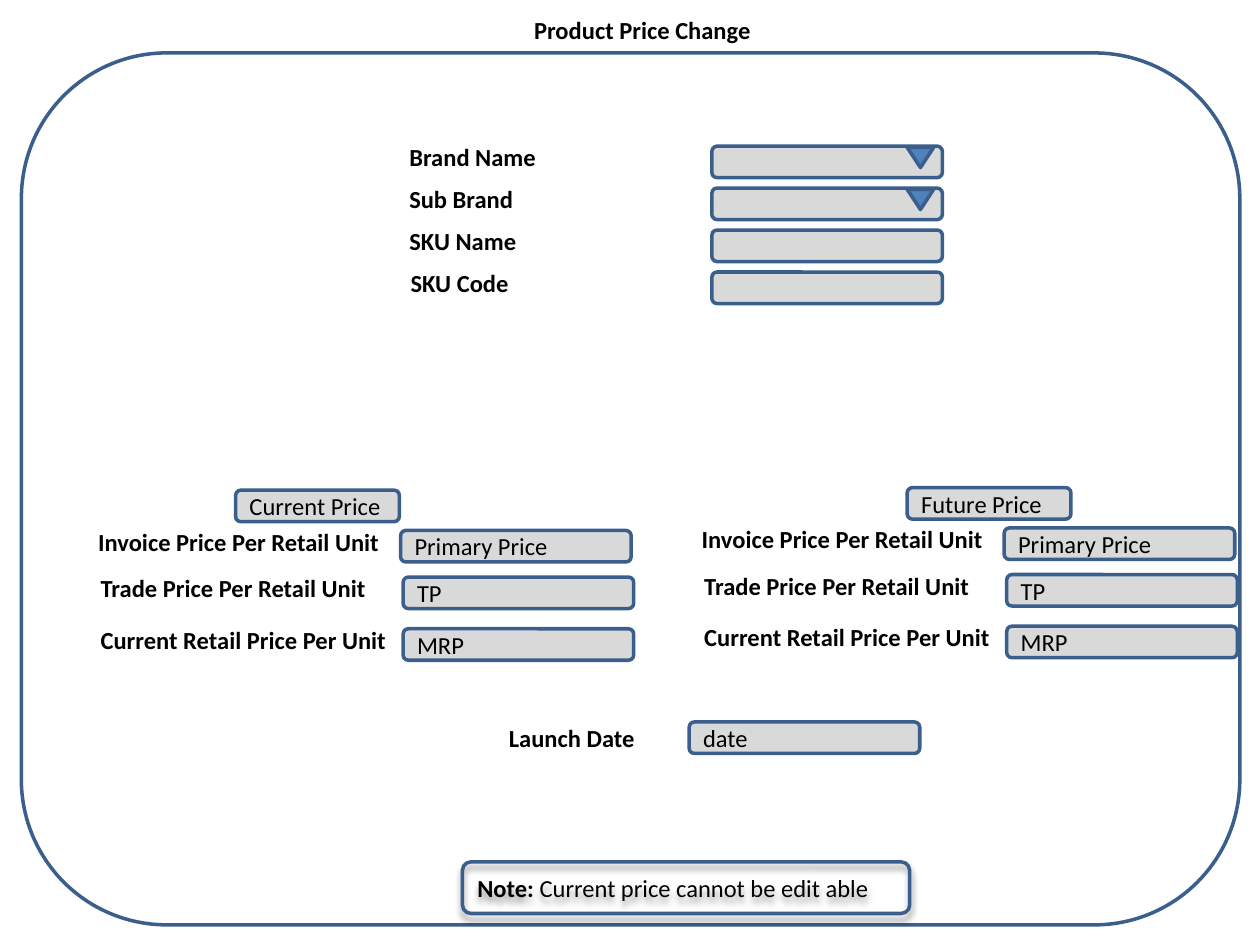
from lxml.etree import SubElement
from pptx import Presentation
from pptx.dml.color import RGBColor
from pptx.enum.shapes import MSO_SHAPE
from pptx.enum.text import MSO_ANCHOR, MSO_AUTO_SIZE, PP_ALIGN
from pptx.oxml.ns import qn
from pptx.util import Inches, Pt

BLUE, GREY, BLACK = "3A5F8C", "D9D9D9", "000000"
FIELD_WIDTH, FIELD_HEIGHT = 1.83, 0.25

presentation = Presentation()
presentation.slide_width, presentation.slide_height = Inches(10), Inches(7.5)
slide = presentation.slides.add_slide(presentation.slide_layouts[6])


def add_label(text, left, top, width, wrap=False):
    """Add a bold label without a box."""
    label = slide.shapes.add_textbox(Inches(left), Inches(top), Inches(width), Inches(0.34))
    frame = label.text_frame
    frame.word_wrap = wrap
    frame.auto_size = MSO_AUTO_SIZE.SHAPE_TO_FIT_TEXT
    frame.text = text
    font = frame.paragraphs[0].runs[0].font
    font.name, font.size, font.bold = "Calibri", Pt(14), True
    font.color.rgb = RGBColor.from_string(BLACK)


def add_box(left, top, width=FIELD_WIDTH, height=FIELD_HEIGHT, parts=(),
            fill=GREY, kind=MSO_SHAPE.ROUNDED_RECTANGLE):
    """Add an outlined shape; each part of its text becomes a run."""
    shape = slide.shapes.add_shape(kind, Inches(left), Inches(top), Inches(width), Inches(height))
    shape.shadow.inherit = False
    if fill:
        shape.fill.solid()
        shape.fill.fore_color.rgb = RGBColor.from_string(fill)
    else:
        shape.fill.background()
    shape.line.color.rgb = RGBColor.from_string(BLUE)
    shape.line.width = Pt(2)
    shape.text_frame.vertical_anchor = MSO_ANCHOR.MIDDLE
    paragraph = shape.text_frame.paragraphs[0]
    paragraph.alignment = PP_ALIGN.LEFT
    for part in parts:
        run = paragraph.add_run()
        run.text = part
        run.font.name, run.font.size = "Calibri", Pt(14)
        run.font.color.rgb = RGBColor.from_string(BLACK)
    return shape


# Launch date
add_label("Launch Date", 3.94, 5.69, 1.21)
add_box(5.47, 5.73, parts=["date"])

# Product fields, the first two with a drop-down arrow
product_fields = [
    ("Brand Name", 3.15, 1.21, True),
    ("Sub Brand", 3.15, 1.03, True),
    ("SKU Name", 3.15, 1.05, False),
    ("SKU Code", 3.16, 1.21, False),
]
for index, (name, left, width, has_arrow) in enumerate(product_fields):
    offset = index * 0.333
    add_label(name, left, 1.08 + offset, width, wrap=name == "SKU Code")
    add_box(5.65, 1.16 + offset)
    if has_arrow:
        arrow = add_box(7.2, 1.17 + offset, 0.21, 0.16, fill="4F81BD",
                        kind=MSO_SHAPE.ISOSCELES_TRIANGLE)
        arrow.rotation = 180

# Screen frame and title
add_box(0.17, 0.42, 9.67, 6.92, fill=None)
add_label("Product Price Change", 4.14, 0.07, 1.93)

# Current and future price groups
price_rows = [
    ("Invoice Price Per Retail Unit ", "Primary Price", 0, 0, 2.49),
    ("Trade Price Per Retail Unit", "TP", 0.02, 0.37, 2.32),
    ("Current Retail Price Per Unit", "MRP", 0.02, 0.78, 2.49),
]
price_groups = [("Current Price", 1.87, 0.68, 4.13), ("Future Price", 7.2, 5.47, 4.11)]
for heading, heading_left, group_left, group_top in price_groups:
    for name, value, indent, offset, width in price_rows:
        add_label(name, group_left + indent, group_top + offset, width)
        add_box(group_left + 2.5 + indent, group_top + 0.08 + offset, parts=[value])
    add_box(heading_left, group_top - 0.24, 1.3, parts=[heading])

# Note with a soft shadow
note = add_box(3.67, 6.84, 3.55, 0.41, ["Note: ", "Current price cannot be edit able "], fill=None)
note.text_frame.paragraphs[0].runs[0].font.bold = True
effects = note._element.spPr.find(qn("a:effectLst"))
shadow = SubElement(effects, qn("a:outerShdw"), blurRad=str(Pt(4)), dist=str(Pt(3)),
                    dir="5400000", algn="t", rotWithShape="0")
shadow_color = SubElement(shadow, qn("a:srgbClr"), val=BLACK)
SubElement(shadow_color, qn("a:alpha"), val="40000")

presentation.save("out.pptx")
